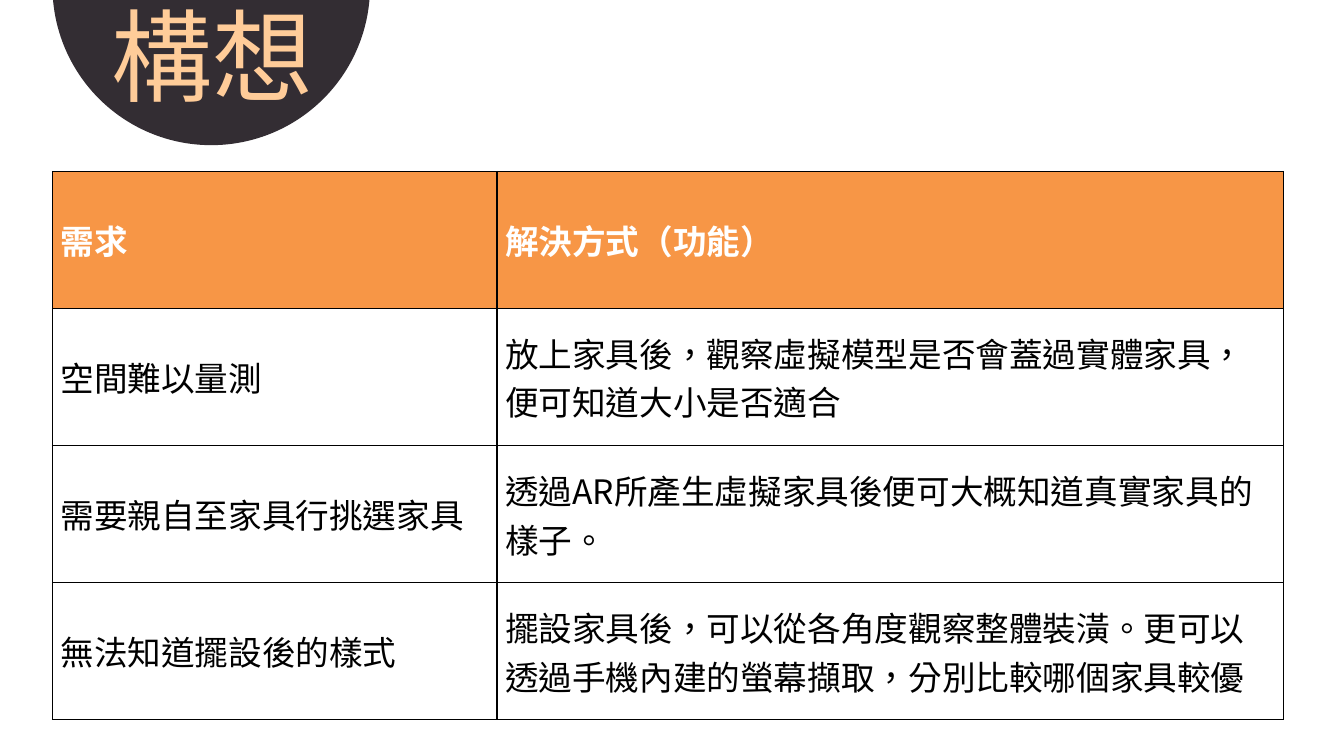
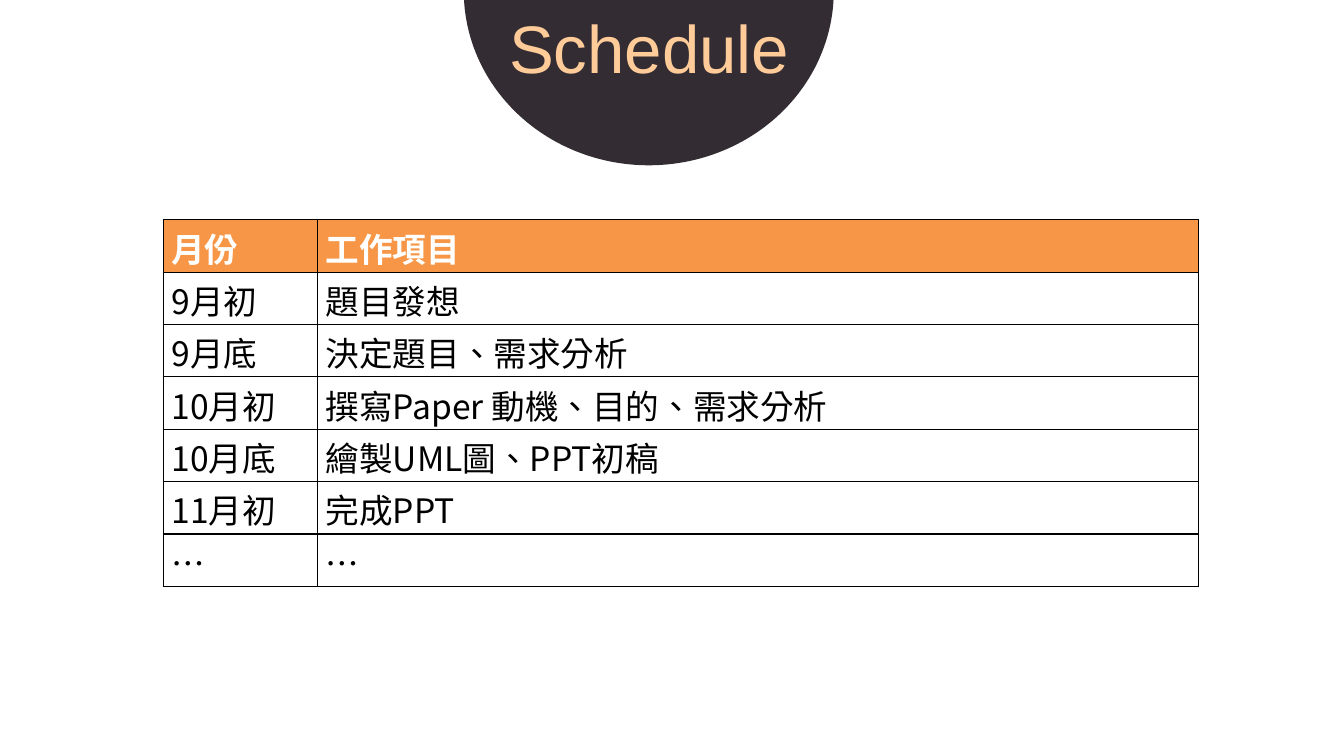
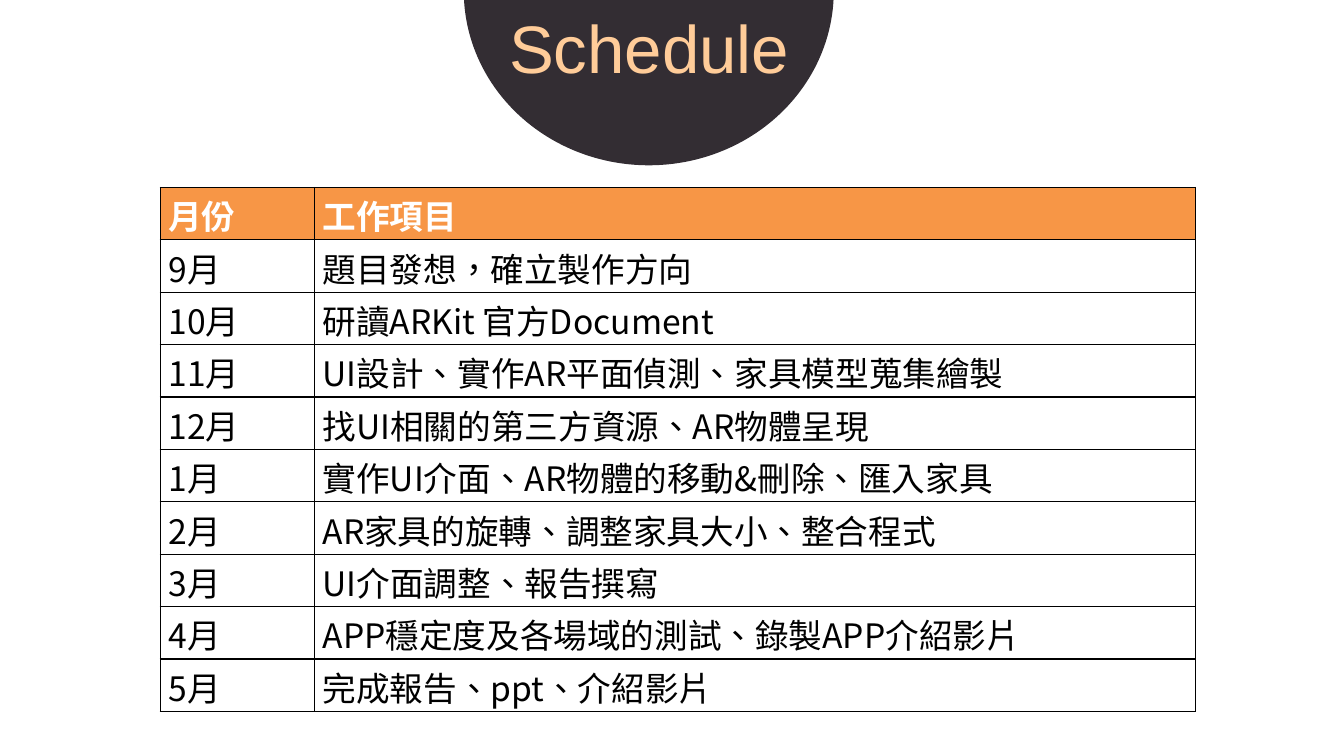
from pptx import Presentation
from pptx.dml.color import RGBColor
from pptx.enum.shapes import MSO_SHAPE
from pptx.enum.text import MSO_ANCHOR, MSO_AUTO_SIZE, PP_ALIGN
from pptx.oxml.ns import qn
from pptx.util import Inches, Pt
from lxml.etree import SubElement

# Shared look
DARK, PEACH, ORANGE = "332D33", "FFCC99", "F79646"
BLACK, WHITE = "000000", "FFFFFF"
CJK, LATIN = "Noto Sans CJK SC", "Arial"

IDEA_ROWS = [
    ("需求", "解決方式（功能）"),
    ("空間難以量測", "放上家具後，觀察虛擬模型是否會蓋過實體家具，便可知道大小是否適合"),
    ("需要親自至家具行挑選家具", "透過AR所產生虛擬家具後便可大概知道真實家具的樣子。"),
    ("無法知道擺設後的樣式",
     "擺設家具後，可以從各角度觀察整體裝潢。更可以透過手機內建的螢幕擷取，分別比較哪個家具較優"),
]
SCHEDULE_HEAD = ("月份", "工作項目")
AUTUMN_ROWS = [
    SCHEDULE_HEAD,
    ("9月初", "題目發想"),
    ("9月底", "決定題目、需求分析"),
    ("10月初", "撰寫Paper 動機、目的、需求分析"),
    ("10月底", "繪製UML圖、PPT初稿"),
    ("11月初", "完成PPT"),
    ("…", "…"),
]
YEAR_ROWS = [
    SCHEDULE_HEAD,
    ("9月", "題目發想，確立製作方向"),
    ("10月", "研讀ARKit 官方Document"),
    ("11月", "UI設計、實作AR平面偵測、家具模型蒐集繪製"),
    ("12月", "找UI相關的第三方資源、AR物體呈現"),
    ("1月", "實作UI介面、AR物體的移動&刪除、匯入家具"),
    ("2月", "AR家具的旋轉、調整家具大小、整合程式"),
    ("3月", "UI介面調整、報告撰寫"),
    ("4月", "APP穩定度及各場域的測試、錄製APP介紹影片"),
    ("5月", "完成報告、ppt、介紹影片"),
]


def rgb(color):
    return RGBColor.from_string(color)


def add_run(p, text, size, font, color, bold=False):
    r = p.add_run()
    r.text = text
    r.font.size, r.font.bold, r.font.name = Pt(size), bold, font
    r.font.color.rgb = rgb(color)
    # East Asian font and language
    rPr = r.font._element
    rPr.set("lang", "zh-TW")
    SubElement(rPr, qn("a:ea"), typeface=font)


def add_borders(cell):
    tcPr = cell._tc.get_or_add_tcPr()
    for side in ("lnL", "lnR", "lnT", "lnB"):
        ln = SubElement(tcPr, qn(f"a:{side}"), w=str(Pt(1)))
        fill = SubElement(ln, qn("a:solidFill"))
        SubElement(fill, qn("a:srgbClr"), val=BLACK)


def add_title(s, text, size, font, disc_box, title_box):
    """Title on a dark disc that hangs from the top edge."""
    disc = s.shapes.add_shape(MSO_SHAPE.OVAL, *map(Inches, disc_box))
    disc.shadow.inherit = False
    disc.fill.solid()
    disc.fill.fore_color.rgb = rgb(DARK)
    disc.line.fill.background()
    title = s.shapes.title
    disc._element.addnext(title._element)  # title in front of the disc
    title.left, title.top, title.width, title.height = map(Inches, title_box)
    tf = title.text_frame
    tf.word_wrap = True
    tf.auto_size = MSO_AUTO_SIZE.NONE
    tf.vertical_anchor = MSO_ANCHOR.TOP
    p = tf.paragraphs[0]
    p.alignment = PP_ALIGN.LEFT
    add_run(p, text, size, font, PEACH)


def add_grid(s, rows, left, top, col_widths, row_height, top_margin):
    """Bordered table with an orange head row."""
    frame = s.shapes.add_table(
        len(rows), len(col_widths), Inches(left), Inches(top),
        Inches(sum(col_widths)), Inches(row_height * len(rows)))
    table = frame.table
    for column, width in zip(table.columns, col_widths):
        column.width = Inches(width)
    for i, texts in enumerate(rows):
        table.rows[i].height = Inches(row_height)
        head = i == 0
        for j, text in enumerate(texts):
            cell = table.cell(i, j)
            add_borders(cell)
            cell.fill.solid()
            cell.fill.fore_color.rgb = rgb(ORANGE if head else WHITE)
            cell.vertical_anchor = MSO_ANCHOR.MIDDLE
            cell.margin_left = cell.margin_right = Inches(0.08)
            cell.margin_top, cell.margin_bottom = Inches(top_margin), 0
            p = cell.text_frame.paragraphs[0]
            p.alignment = PP_ALIGN.JUSTIFY if j == 0 else PP_ALIGN.LEFT
            add_run(p, text, 24, CJK, WHITE if head else BLACK, head)


def new_slide(prs):
    return prs.slides.add_slide(prs.slide_layouts[5])


def idea_slide(prs):
    s = new_slide(prs)
    add_title(s, "構想", 72, CJK, (0.52, -1.71, 3.15, 3.15), (1.01, -0.11, 2.51, 1.31))
    add_grid(s, IDEA_ROWS, 0.52, 1.7, (4.41, 7.8), 1.36, 0)


def schedule_slide(prs, rows, left, top):
    s = new_slide(prs)
    add_title(s, "Schedule", 48, LATIN, (4.6, -1.82, 3.67, 3.46), (4.95, 0.01, 3.27, 0.91))
    add_grid(s, rows, left, top, (1.53, 8.74), 0.52, 0.03)


def main():
    prs = Presentation()
    prs.slide_width, prs.slide_height = Inches(13.33), Inches(7.5)
    idea_slide(prs)
    schedule_slide(prs, AUTUMN_ROWS, 1.62, 2.18)
    schedule_slide(prs, YEAR_ROWS, 1.59, 1.86)
    prs.save("out.pptx")


if __name__ == "__main__":
    main()
